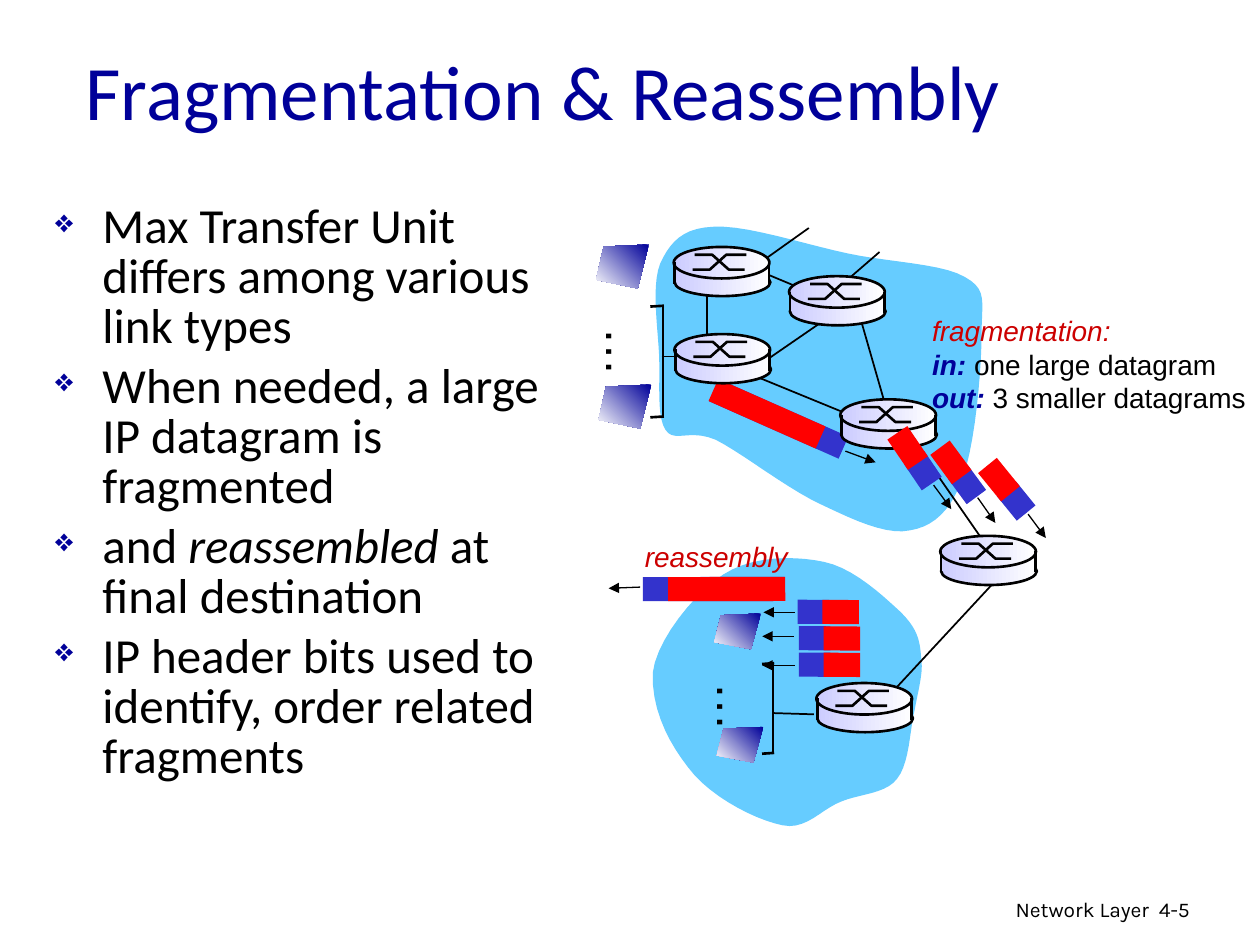
from dataclasses import dataclass
from math import cos, radians, sin

from lxml import etree
from pptx import Presentation
from pptx.dml.color import RGBColor
from pptx.enum import shapes as kinds, text as txt
from pptx.oxml import ns
from pptx.util import Pt


@dataclass(frozen=True)
class Theme:
    navy: str = "000099"
    black: str = "000000"
    white: str = "FFFFFF"
    crimson: str = "CC0000"
    cloud: str = "66CCFF"
    header: str = "3333CC"
    payload: str = "FF0000"
    lavender: str = "CCCCFF"
    heading_font: str = "Calibri"
    label_font: str = "Arial"
    footer_font: str = "Karla"
    title_size: float = 44
    body_size: float = 28
    label_size: float = 16
    footer_size: float = 12
    outline: float = 1.5
    link: float = 1
    motion: float = 0.75


THEME = Theme()

NORTH_CLOUD = [
    (407.5, 129.6),
    (390.2, 130.3), (383, 138.2), (377.3, 150.5), (372.2, 162.7), (375.8, 186.5), (376.6, 202.3),
    (377.3, 218.2), (375.1, 237.6), (380.2, 245.5), (385.2, 253.4), (393.8, 244.8), (409, 251.3),
    (423.4, 258.5), (450, 279.4), (468.7, 288), (486.7, 296.6), (506.2, 306), (519.8, 303.1),
    (533.5, 301), (543.6, 291.6), (550.1, 272.9), (557.3, 254.2), (560.9, 210.2), (560.9, 191.5),
    (560.9, 172.1), (564.5, 165.6), (551.5, 158.4), (538.6, 150.5), (506.9, 149.8), (483.8, 144.7),
    (460.1, 139.7), (425.5, 128.2), (407.5, 129.6),
]
SOUTH_CLOUD = [
    (373, 384.5),
    (375.1, 365.8), (396.7, 339.1), (413.3, 328.3), (429.8, 317.5), (454.3, 317.5), (470.9, 321.1),
    (488.2, 324.7), (505.4, 341.3), (514.8, 349.9), (524.2, 359.3), (525.6, 365.8), (526.3, 375.1),
    (527.8, 384.5), (524.9, 393.1), (522.7, 405.4), (519.8, 416.9), (519.8, 436.3), (512.6, 445),
    (506.2, 453.6), (491.8, 453.6), (481, 457.9), (469.4, 462.2), (460.8, 474.5), (447.1, 471.6),
    (432.7, 468.7), (409.7, 457.2), (396.7, 442.8), (384.5, 428.4), (372.2, 408.2), (373, 384.5),
]
LINKS = [
    (378, 203.8, 388.1, 203.8), (423.4, 150.5, 475.2, 172.1), (490.3, 177.1, 505.4, 229.7),
    (403.9, 159.1, 403.9, 205.2), (421.9, 211, 499, 242.6), (560.2, 306.7, 522.7, 252.7),
    (483.8, 174.2, 424.1, 215.3), (462.2, 130.3, 424.8, 156.9), (502.6, 144, 481, 162.7),
    (569.5, 331.2, 505.4, 400.3), (442.1, 407.5, 465.1, 408.2),
]
NORTH_ROUTERS = [(480.2, 228.2), (385, 141.1), (385.4, 190.9), (450.9, 157.8)]
SOUTH_ROUTERS = [(537.3, 306.2), (466.5, 390.3)]
LARGE = (81, 67, 7.3)
SMALL = (18, 20.9, 15.6)
INCOMING = [
    ((464.8, 349.6), 180.4, (454.3, 349.9, 436.3, 349.9)),
    ((465.5, 364.7), 180.4, (453.6, 363.6, 435.6, 363.6)),
    ((465.5, 379.8), 180.4, (454.3, 380.2, 435.6, 380.2)),
]
OUTGOING = [
    ((527.4, 268.9), 55.8, (533.5, 277.2, 543.6, 290.9)),
    ((552.6, 276.8), 53.6, (558.7, 284.4, 568.8, 298.8)),
    ((580.7, 286.2), 50.9, (587.5, 293.8, 597.6, 307.4)),
]


def rgb(value):
    return RGBColor.from_string(value)


def paint(shape, fill=None, line=None, angle=0):
    shape.shadow.inherit = False
    if isinstance(fill, tuple):
        shape.fill.gradient()
        shape.fill.gradient_angle = angle
        for stop, color in zip(shape.fill.gradient_stops, fill):
            stop.color.rgb = rgb(color)
    elif fill:
        shape.fill.solid()
        shape.fill.fore_color.rgb = rgb(fill)
    else:
        shape.fill.background()
    if line:
        shape.line.color.rgb = rgb(THEME.black)
        shape.line.width = Pt(line)
    else:
        shape.line.fill.background()


def add_preset(shapes, preset, box, fill, line=None):
    shape = shapes.add_shape(preset, *map(Pt, box))
    paint(shape, fill, line)
    return shape


def add_outline(shapes, points, fill=None, line=None, angle=0):
    start, *rest = [(Pt(x), Pt(y)) for x, y in points]
    builder = shapes.build_freeform(*start, scale=1.0)
    builder.add_line_segments(rest, close=fill is not None)
    paint(builder.convert_to_shape(), fill, line, angle)


def add_cloud(shapes, controls, steps=10):
    points = controls[:1]
    for i in range(0, len(controls) - 1, 3):
        curve = controls[i:i + 4]
        for t in (step / steps for step in range(1, steps + 1)):
            weights = ((1 - t) ** 3, 3 * t * (1 - t) ** 2, 3 * t * t * (1 - t), t ** 3)
            points.append(tuple(sum(w * p[axis] for w, p in zip(weights, curve)) for axis in (0, 1)))
    add_outline(shapes, points, THEME.cloud)


def add_line(shapes, ends, width, arrow=False):
    line = shapes.add_connector(kinds.MSO_CONNECTOR.STRAIGHT, *map(Pt, ends))
    line.line.color.rgb = rgb(THEME.black)
    line.line.width = Pt(width)
    if arrow:
        etree.SubElement(line.line._get_or_add_ln(), ns.qn("a:tailEnd"), type="triangle")
    etree.SubElement(line._element.spPr, ns.qn("a:effectLst"))


def add_text(shapes, box, paragraphs, font, size, wrap=True):
    label = shapes.add_textbox(*map(Pt, box))
    frame = label.text_frame
    frame.word_wrap = wrap
    if not wrap:
        frame.auto_size = txt.MSO_AUTO_SIZE.SHAPE_TO_FIT_TEXT
    for i, runs in enumerate(paragraphs):
        paragraph = frame.paragraphs[0] if i == 0 else frame.add_paragraph()
        for words, color, bold, italic in runs:
            run = paragraph.add_run()
            run.text = words
            run.font.name, run.font.size = font, Pt(size)
            run.font.bold, run.font.italic = bold, italic
            run.font.color.rgb = rgb(color)
    return label


def plain(words, color=THEME.black, bold=False, italic=False):
    return words, color, bold, italic


def add_bullets(shapes, box, paragraphs):
    frame = add_text(shapes, box, paragraphs, THEME.heading_font, THEME.body_size).text_frame
    for i, paragraph in enumerate(frame.paragraphs):
        properties = paragraph._p.get_or_add_pPr()
        properties.set("marL", str(Pt(27)))
        properties.set("indent", str(Pt(-27)))
        color = etree.SubElement(properties, ns.qn("a:buClr"))
        etree.SubElement(color, ns.qn("a:srgbClr"), val=THEME.navy)
        etree.SubElement(properties, ns.qn("a:buSzPct"), val="65000")
        etree.SubElement(properties, ns.qn("a:buChar"), char="❖")
        paragraph.line_spacing = 0.85
        paragraph.space_before = Pt(5.6 if i else 0)


def add_router(shapes, x, y):
    parts = shapes.add_group_shape().shapes
    metal = (THEME.lavender, THEME.white)
    oval, rectangle = kinds.MSO_SHAPE.OVAL, kinds.MSO_SHAPE.RECTANGLE
    add_preset(parts, oval, (x + 0.5, y + 12.3, 54.7, 15.8), metal, THEME.outline)
    add_preset(parts, rectangle, (x + 0.5, y + 10.5, 54.7, 9.4), metal)
    add_preset(parts, oval, (x, y, 54.7, 18), metal, THEME.outline)
    high, low = y + 4.5, y + 13
    for xs, first, last in (((10.8, 20.6, 30, 41.5), low, high), ((12, 22, 31.5, 40.5), high, low)):
        add_outline(parts, [(x + dx, level) for dx, level in zip(xs, (first, first, last, last))],
                    line=THEME.outline)
    for side in (x + 0.5, x + 54.5):
        add_line(parts, (side, y + 8.8, side, y + 20.9), THEME.outline)


def add_datagram(shapes, size, center, angle, motion):
    parts = shapes.add_group_shape().shapes
    header, payload, offset = size
    x, y = center
    back = (x - offset * cos(radians(angle)), y - offset * sin(radians(angle)))
    for (cx, cy), length, color in ((center, header, THEME.header), (back, payload, THEME.payload)):
        box = (cx - length / 2, cy - 6.9, length, 13.8)
        add_preset(parts, kinds.MSO_SHAPE.RECTANGLE, box, color).rotation = angle
    add_line(parts, motion, THEME.motion, arrow=True)


def add_hosts(shapes, x, y, dots, sx=1, sy=1):
    parts = shapes.add_group_shape().shapes
    top, bottom, spine = y + 35 * sy, y + 98.3 * sy, x + 38.3 * sx
    for level in (top, bottom):
        add_line(parts, (x + 31 * sx, level + 0.5, spine + 0.5, level), THEME.outline)
    add_line(parts, (spine, top, spine, bottom), THEME.link)
    for dx, dy in ((0, 0), (1.4, 80 * sy)):
        corners = ((30.2, 0), (4.3, 1.2), (0, 20.2), (23.8, 25.2))
        add_outline(parts, [(x + dx + px * sx, y + dy + py * sy) for px, py in corners],
                    (THEME.navy, THEME.white), angle=225)
    ellipsis = add_text(parts, (*dots, 42.5, 41), [[plain("…")]],
                        THEME.label_font, THEME.body_size, wrap=False)
    ellipsis.rotation = 90


def add_slide_text(shapes):
    footer = add_text(shapes, (435.6, 509, 228.2, 22.3), [[plain("Network Layer")]],
                      THEME.footer_font, THEME.footer_size)
    footer.text_frame.paragraphs[0].alignment = txt.PP_ALIGN.RIGHT
    add_text(shapes, (655.2, 509, 53.3, 21.6), [[plain("4-5")]],
             THEME.footer_font, THEME.footer_size)
    title = add_text(shapes, (41.8, 14.4, 612, 73.4), [[plain("Fragmentation & Reassembly", THEME.navy)]],
                     THEME.heading_font, THEME.title_size)
    title.text_frame.vertical_anchor = txt.MSO_ANCHOR.MIDDLE
    add_bullets(shapes, (24.5, 113, 300.2, 401), [
        [plain("Max Transfer Unit differs among various link types")],
        [plain("When needed, a large IP datagram is fragmented")],
        [plain("and "), plain("reassembled", italic=True), plain(" at final destination")],
        [plain("IP header bits used to identify, order related fragments")],
    ])


def main():
    deck = Presentation()
    deck.slide_width, deck.slide_height = Pt(720), Pt(540)
    shapes = deck.slides.add_slide(deck.slide_layouts[6]).shapes
    add_slide_text(shapes)
    for cloud in (NORTH_CLOUD, SOUTH_CLOUD):
        add_cloud(shapes, cloud)
    for link in LINKS:
        add_line(shapes, link, THEME.link)
    add_datagram(shapes, LARGE, (445, 239.4), 23.9, (483.1, 257.8, 500.4, 264.2))
    add_text(shapes, (525.6, 175.7, 194.4, 64.8), [
        [plain("fragmentation:", THEME.crimson, italic=True)],
        [plain("in:", THEME.navy, True, True), plain(" one large datagram")],
        [plain("out:", THEME.navy, True, True), plain(" 3 smaller datagrams")],
    ], THEME.label_font, THEME.label_size, wrap=False)
    for datagram in INCOMING:
        add_datagram(shapes, SMALL, *datagram)
    add_datagram(shapes, LARGE, (407.9, 336.6), 179.9, (365.8, 335.5, 347.8, 336.2))
    add_text(shapes, (361.4, 304.6, 96.5, 26.6), [[plain("reassembly", THEME.crimson, italic=True)]],
             THEME.label_font, THEME.label_size, wrap=False)
    add_hosts(shapes, 340.6, 139.7, (336.2, 180.7))
    for router in NORTH_ROUTERS:
        add_router(shapes, *router)
    for datagram in OUTGOING:
        add_datagram(shapes, SMALL, *datagram)
    for router in SOUTH_ROUTERS:
        add_router(shapes, *router)
    add_hosts(shapes, 408.2, 350.6, (399.6, 383.8), 0.88, 0.81)
    deck.save("out.pptx")


if __name__ == "__main__":
    main()
